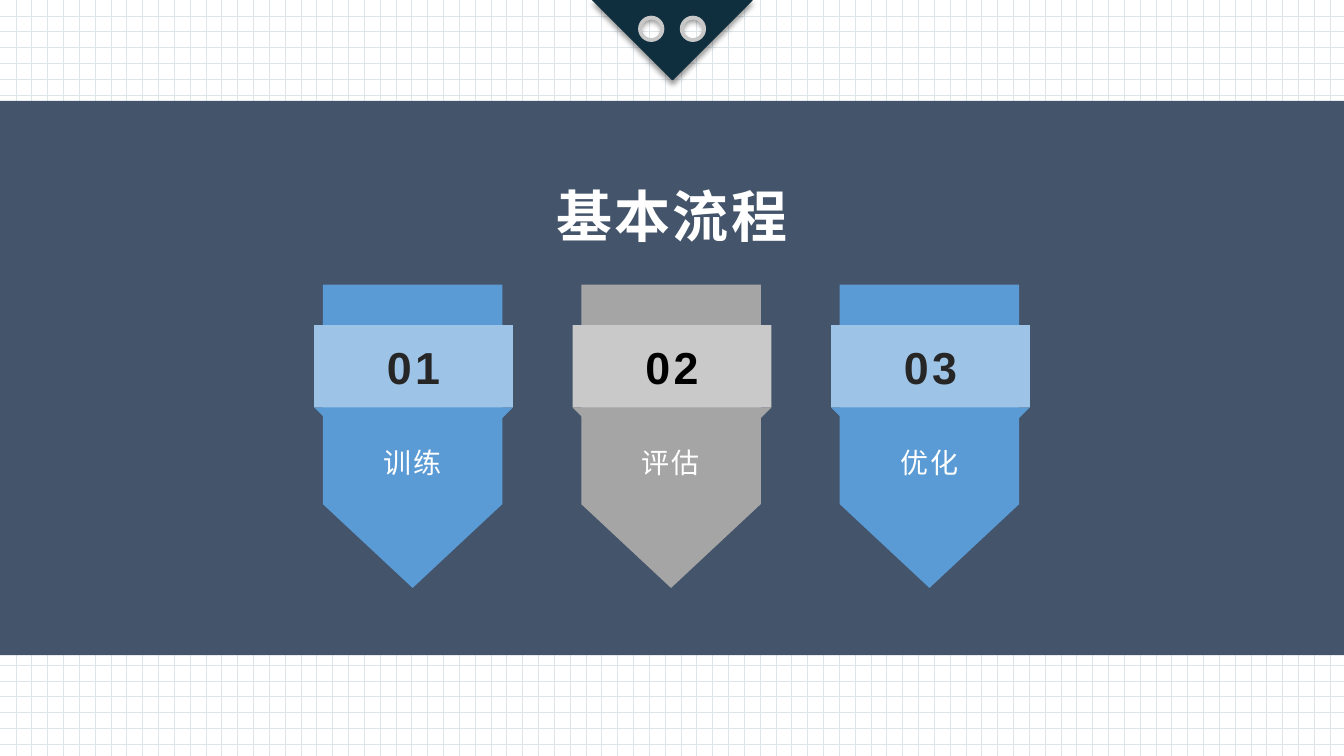
import math
import pptx
import pptx.util
import pptx.dml.color
import pptx.enum.dml
import pptx.enum.shapes
import pptx.enum.text
import pptx.oxml
import pptx.oxml.ns

Pt = pptx.util.Pt
SHAPE = pptx.enum.shapes.MSO_SHAPE
ANCHOR = pptx.enum.text.MSO_ANCHOR
NAMESPACE = pptx.oxml.ns.nsdecls("a")


def color(value):
    return pptx.dml.color.RGBColor.from_string(value)


def write(shape, text, font, size, spacing, fill, bold, anchor, insets):
    frame = shape.text_frame
    side, top = insets
    settings = {
        "word_wrap": True, "auto_size": pptx.enum.text.MSO_AUTO_SIZE.NONE,
        "vertical_anchor": anchor, "margin_left": Pt(side), "margin_right": Pt(side),
        "margin_top": Pt(top), "margin_bottom": Pt(top),
    }
    for name, value in settings.items():
        setattr(frame, name, value)
    paragraph = frame.paragraphs[0]
    paragraph.alignment = pptx.enum.text.PP_ALIGN.CENTER
    run = paragraph.add_run()
    run.text = text
    for name, value in {"name": font, "size": Pt(size), "bold": bold}.items():
        setattr(run.font, name, value)
    run.font.color.rgb = color(fill)
    properties = run.font._element
    properties.set("spc", str(round(spacing * 100)))
    properties.append(pptx.oxml.parse_xml(f'<a:ea {NAMESPACE} typeface="Noto Sans CJK SC"/>'))


presentation = pptx.Presentation()
presentation.slide_width = Pt(960)
presentation.slide_height = Pt(540)
slide = presentation.slides.add_slide(presentation.slide_layouts[5])
shapes = slide.shapes

backdrop = []
for left, top, width, height in [(0, 0, 961, 542), (0, 0, 961, 542), (0, 72, 960, 396)]:
    shape = shapes.add_shape(SHAPE.RECTANGLE, Pt(left), Pt(top), Pt(width), Pt(height))
    shape.shadow.inherit = False
    shape.line.fill.background()
    backdrop.append(shape)
grid, veil, band = backdrop
grid.fill.patterned()
grid.fill.pattern = pptx.enum.dml.MSO_PATTERN.DOTTED_GRID
grid.fill.fore_color.rgb = color("1B516D")
grid.fill.back_color.rgb = color("FFFFFF")
for shape, fill in [(veil, "FFFFFF"), (band, "44546A")]:
    shape.fill.solid()
    shape.fill.fore_color.rgb = color(fill)
veil_color = veil._element.spPr.find(".//" + pptx.oxml.ns.qn("a:srgbClr"))
veil_color.append(pptx.oxml.parse_xml(f'<a:alpha {NAMESPACE} val="85000"/>'))

ring_radius, ring_middle, ring_centers = 8, 20.6, (465.2, 495)
builder = shapes.build_freeform(Pt(423.4), 0, scale=1.0)
builder.add_line_segments([(Pt(537.2), 0), (Pt(480.3), Pt(56.9))], close=True)
for center in ring_centers:
    points = []
    for step in range(36):
        angle = math.tau * step / 36
        points.append((Pt(center + ring_radius * math.cos(angle)),
                       Pt(ring_middle + ring_radius * math.sin(angle))))
    builder.move_to(*points[0])
    builder.add_line_segments(points[1:], close=True)
pennant = builder.convert_to_shape()
pennant.fill.solid()
pennant.fill.fore_color.rgb = color("0F2E3E")
pennant.line.color.rgb = color("0F2E3E")
pennant.line.width = Pt(1)
pennant.shadow.inherit = False
pennant._element.spPr.find(pptx.oxml.ns.qn("a:effectLst")).append(pptx.oxml.parse_xml(
    f'<a:outerShdw {NAMESPACE} blurRad="{Pt(4)}" dist="{Pt(3)}" dir="5400000" algn="t" rotWithShape="0">'
    '<a:srgbClr val="000000"><a:alpha val="40000"/></a:srgbClr></a:outerShdw>'))
for center in ring_centers:
    ring = shapes.add_shape(SHAPE.OVAL, Pt(center - ring_radius), Pt(ring_middle - ring_radius),
                            Pt(2 * ring_radius), Pt(2 * ring_radius))
    ring.shadow.inherit = False
    ring.fill.background()
    ring.line.color.rgb = color("C8C8C8")
    ring.line.width = Pt(2.75)

title = shapes.title
for name, value in {"left": 48, "top": 120, "width": 864, "height": 60}.items():
    setattr(title, name, Pt(value))
write(title, "基本流程", "Noto Sans CJK SC", 40, 1.6, "FFFFFF", True, ANCHOR.BOTTOM, (5, 2.5))
band._element.addnext(title._element)

steps = [
    ("01", "训练", "5B9BD5", "9DC3E6", "262626"),
    ("02", "评估", "A5A5A5", "C9C9C9", "000000"),
    ("03", "优化", "5B9BD5", "9DC3E6", "262626"),
]
for index, (number, label, dark, light, ink) in enumerate(steps):
    left = 224.4 + 184.6 * index
    parts = [
        (SHAPE.RIGHT_TRIANGLE, 0, 291, 8, 8, 180, dark),
        (SHAPE.RIGHT_TRIANGLE, 134, 291, 8, 8, 90, dark),
        (SHAPE.PENTAGON, -38, 247.6, 216.6, 128.2, 90, dark),
        (SHAPE.RECTANGLE, 0, 232.3, 142, 58.7, 0, light),
    ]
    for kind, offset, top, width, height, rotation, fill in parts:
        shape = shapes.add_shape(kind, Pt(left + offset), Pt(top), Pt(width), Pt(height))
        shape.shadow.inherit = False
        shape.rotation = rotation
        shape.fill.solid()
        shape.fill.fore_color.rgb = color(fill)
        shape.line.fill.background()
        if kind == SHAPE.PENTAGON:
            shape.adjustments[0] = 0.467
    number_box = shapes.add_textbox(Pt(left + 45.5), Pt(240), Pt(51), Pt(44))
    write(number_box, number, "Arial", 32, 2.4, ink, True, ANCHOR.MIDDLE, (0, 0))
    label_box = shapes.add_textbox(Pt(left + 13.7), Pt(314.6), Pt(113), Pt(31.7))
    write(label_box, label, "Arial", 20, 1.2, "FFFFFF", False, ANCHOR.TOP, (7.2, 3.6))

presentation.save("out.pptx")
